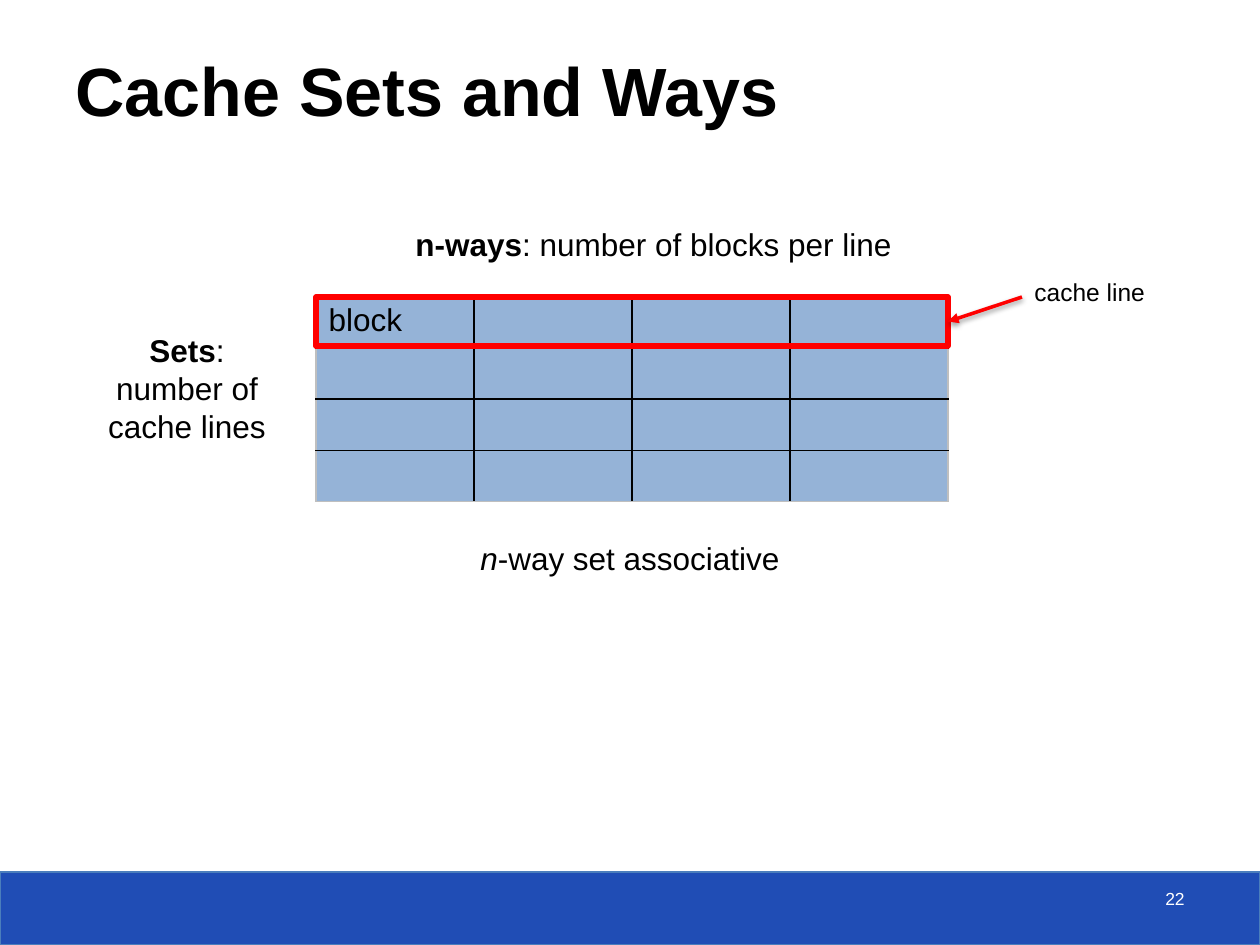
from dataclasses import dataclass

import lxml.etree
import pptx
import pptx.dml.color
import pptx.enum.shapes
import pptx.enum.text
import pptx.oxml
import pptx.oxml.ns
import pptx.util

EMU_PER_PIXEL = 914400 / 126
FONT = "Arial"
BLACK, WHITE, RED = "000000", "FFFFFF", "FF0000"
BLOCK_BLUE, BAR_BLUE, BAR_EDGE, EDGE_GRAY = "95B3D7", "204DB5", "4B7EBC", "BFBFBF"
ROWS, COLUMNS = 4, 4
TABLE_LEFT, TABLE_TOP, BLOCK_WIDTH, BLOCK_HEIGHT = 316, 297, 158, 51
LEFT = pptx.enum.text.PP_ALIGN.LEFT
CENTER = pptx.enum.text.PP_ALIGN.CENTER
RIGHT = pptx.enum.text.PP_ALIGN.RIGHT
NAMESPACE = pptx.oxml.ns.nsdecls("a")


@dataclass
class Label:
    box: tuple[int, int, int, int]
    lines: list[str]
    size: int = 18
    align: pptx.enum.text.PP_ALIGN = LEFT
    color: str = BLACK
    lead: str = ""
    bold: bool = False
    italic: bool = False
    wrap: bool = False


LABELS = [
    Label((903, 882, 294, 42), ["22"], 10, RIGHT, WHITE, wrap=True),
    Label((95, 325, 184, 127), [":\vnumber of", "cache lines"], align=CENTER, lead="Sets", bold=True),
    Label((403, 219, 507, 50), [": number of blocks per line"], lead="n-ways", bold=True),
    Label((466, 533, 328, 50), ["-way set associative"], align=CENTER, lead="n", italic=True),
    Label((1022, 271, 136, 43), ["cache line"], 14),
]


def px(*lengths: float) -> list[pptx.util.Emu]:
    return [pptx.util.Emu(round(length * EMU_PER_PIXEL)) for length in lengths]


def rgb(value: str) -> pptx.dml.color.RGBColor:
    return pptx.dml.color.RGBColor.from_string(value)


def set_font(paragraph, size: int, color: str) -> None:
    paragraph.font.name = FONT
    paragraph.font.size = pptx.util.Pt(size)
    paragraph.font.color.rgb = rgb(color)


def add_label(slide, label: Label) -> None:
    frame = slide.shapes.add_textbox(*px(*label.box)).text_frame
    frame.word_wrap = label.wrap
    for index, line in enumerate(label.lines):
        paragraph = frame.add_paragraph() if index else frame.paragraphs[0]
        paragraph.alignment = label.align
        if label.lead and index == 0:
            run = paragraph.add_run()
            run.text = label.lead
            run.font.bold = label.bold
            run.font.italic = label.italic
        for position, part in enumerate(line.split("\v")):
            if position:
                paragraph.add_line_break()
            paragraph.add_run().text = part
        set_font(paragraph, label.size, label.color)


def add_rectangle(slide, box: tuple[int, int, int, int], fill: str | None, line: str, width: float):
    shape = slide.shapes.add_shape(pptx.enum.shapes.MSO_SHAPE.RECTANGLE, *px(*box))
    shape.shadow.inherit = False
    if fill:
        shape.fill.solid()
        shape.fill.fore_color.rgb = rgb(fill)
    else:
        shape.fill.background()
    shape.line.color.rgb = rgb(line)
    shape.line.width = pptx.util.Pt(width)
    return shape


def set_borders(cell, colors: dict[str, str]) -> None:
    properties = cell._tc.get_or_add_tcPr()
    for index, (side, color) in enumerate(colors.items()):
        properties.insert(index, pptx.oxml.parse_xml(
            f'<a:ln{side} {NAMESPACE} w="12700"><a:solidFill><a:srgbClr val="{color}"/>'
            f'</a:solidFill></a:ln{side}>'))


def add_cache(slide) -> None:
    box = px(TABLE_LEFT, TABLE_TOP, BLOCK_WIDTH * COLUMNS, BLOCK_HEIGHT * ROWS)
    table = slide.shapes.add_table(ROWS, COLUMNS, *box).table
    table.first_row = table.horz_banding = False
    for row in range(ROWS):
        for column in range(COLUMNS):
            cell = table.cell(row, column)
            cell.fill.solid()
            cell.fill.fore_color.rgb = rgb(BLOCK_BLUE)
            outer = {"L": column == 0, "R": column == COLUMNS - 1,
                     "T": row == 0, "B": row == ROWS - 1}
            set_borders(cell, {side: EDGE_GRAY if edge else BLACK for side, edge in outer.items()})
    block = table.cell(0, 0)
    block.text = "block"
    set_font(block.text_frame.paragraphs[0], 18, BLACK)


def add_arrow(slide, start: tuple[int, int], target) -> None:
    arrow = slide.shapes.add_connector(
        pptx.enum.shapes.MSO_CONNECTOR.STRAIGHT, *px(*start), *px(*start))
    arrow.end_connect(target, 3)
    arrow.line.color.rgb = rgb(RED)
    arrow.line.width = pptx.util.Pt(2)
    lxml.etree.SubElement(arrow.line._get_or_add_ln(), pptx.oxml.ns.qn("a:tailEnd"), type="triangle")
    arrow._element.spPr.append(pptx.oxml.parse_xml(
        f'<a:effectLst {NAMESPACE}><a:outerShdw blurRad="39370" dist="20320" dir="5400000" '
        f'rotWithShape="0"><a:srgbClr val="{BLACK}"><a:alpha val="38000"/></a:srgbClr>'
        f'</a:outerShdw></a:effectLst>'))


def add_title(slide, text: str) -> None:
    title = slide.shapes.title
    title.left, title.top, title.width, title.height = px(63, 32, 1171, 104)
    title.fill.solid()
    title.fill.fore_color.rgb = rgb(WHITE)
    color = title._element.spPr.find(".//" + pptx.oxml.ns.qn("a:srgbClr"))
    lxml.etree.SubElement(color, pptx.oxml.ns.qn("a:alpha"), val="70000")
    frame = title.text_frame
    frame.text = text
    frame.auto_size = pptx.enum.text.MSO_AUTO_SIZE.NONE
    frame.vertical_anchor = pptx.enum.text.MSO_ANCHOR.BOTTOM
    paragraph = frame.paragraphs[0]
    paragraph.alignment = LEFT
    set_font(paragraph, 39, BLACK)
    paragraph.font.bold = True


def main() -> None:
    presentation = pptx.Presentation()
    presentation.slide_width, presentation.slide_height = px(1260, 945)
    slide = presentation.slides.add_slide(presentation.slide_layouts[5])
    add_rectangle(slide, (0, 872, 1260, 73), BAR_BLUE, BAR_EDGE, 0.75)
    add_title(slide, "Cache Sets and Ways")
    add_cache(slide)
    for label in LABELS:
        add_label(slide, label)
    cache_line = add_rectangle(
        slide, (TABLE_LEFT, TABLE_TOP, BLOCK_WIDTH * COLUMNS, 49), None, RED, 3)
    add_arrow(slide, (1022, 297), cache_line)
    presentation.save("out.pptx")


if __name__ == "__main__":
    main()
